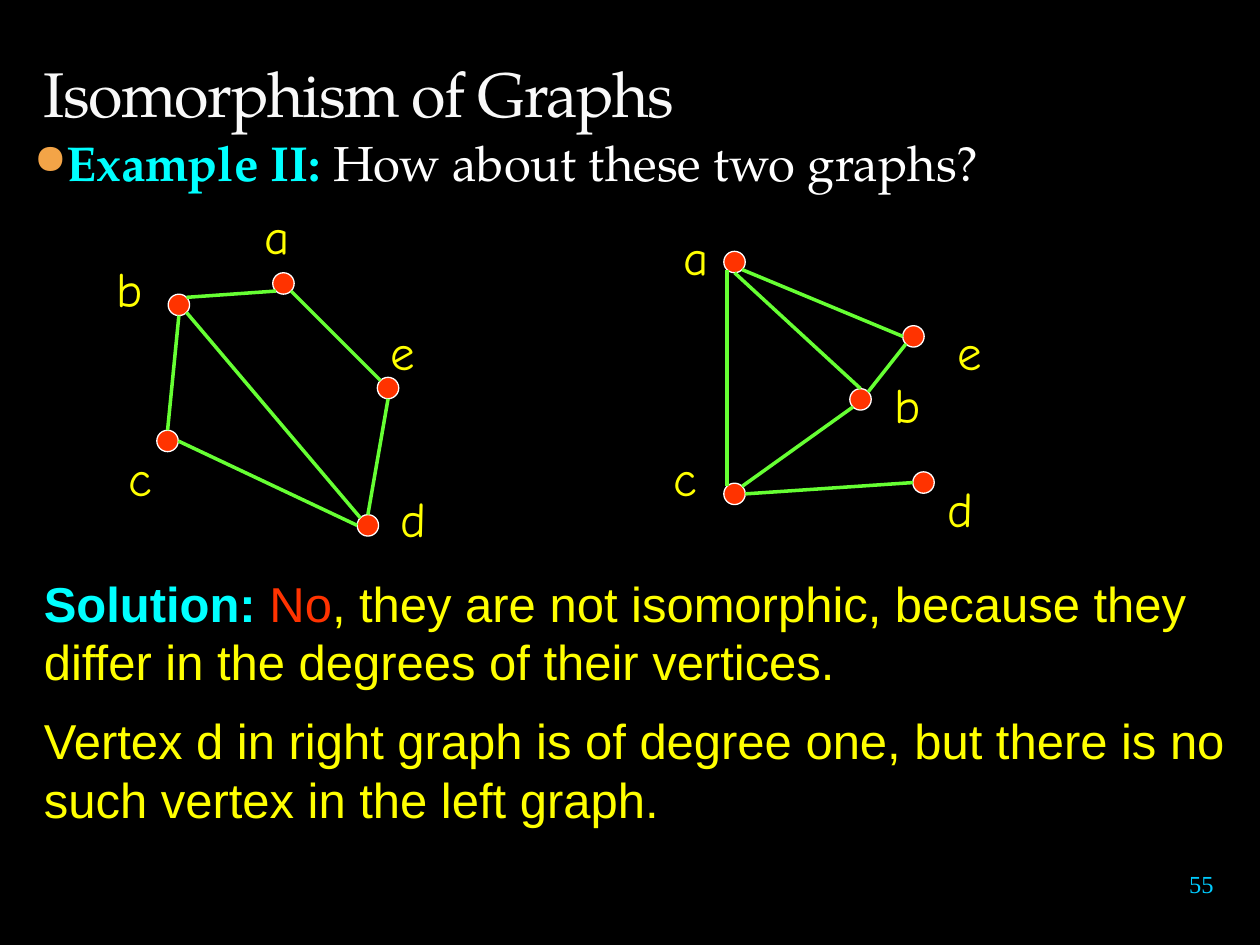
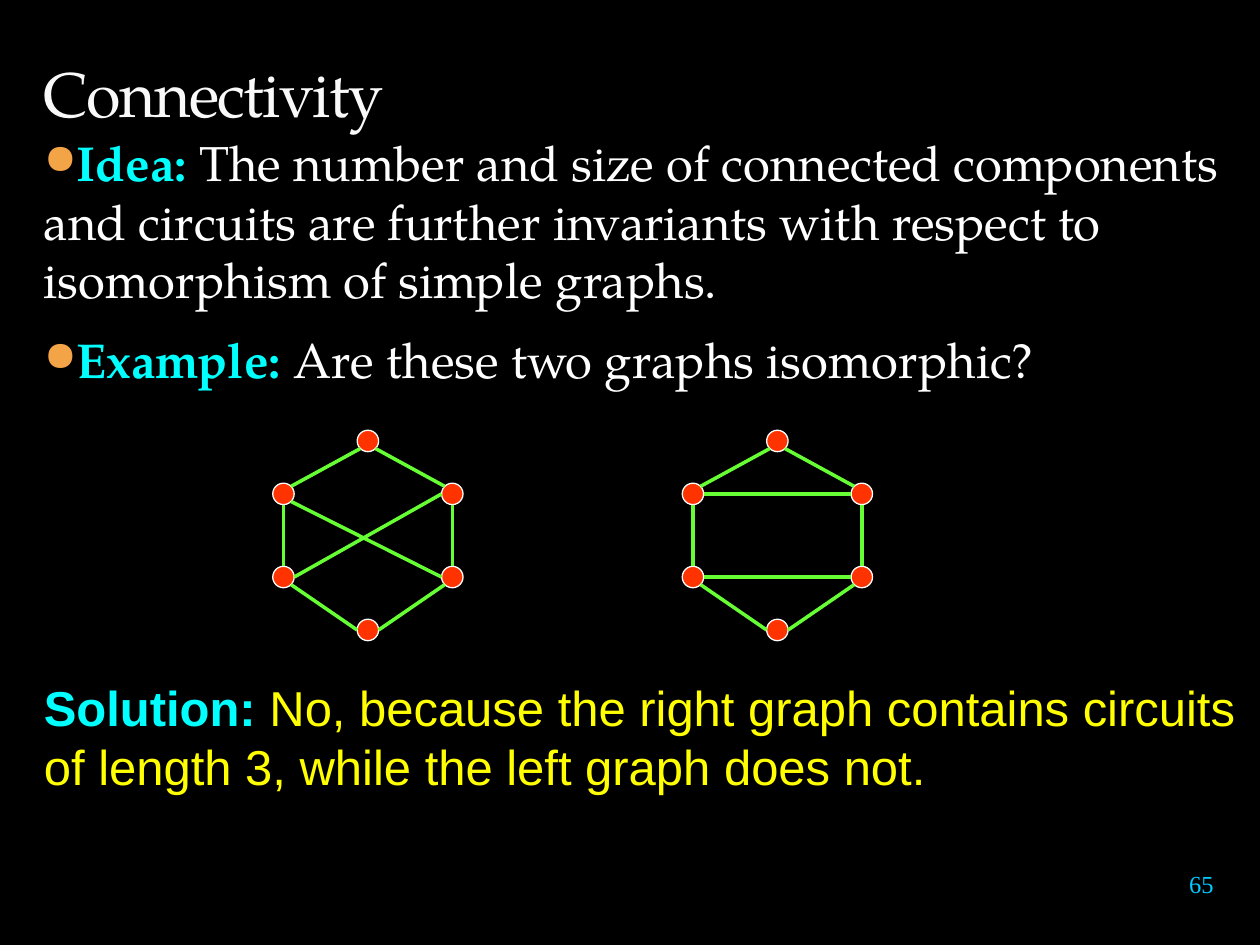
from dataclasses import dataclass
from math import cos, pi, sin
from lxml import etree
from pptx import Presentation
from pptx.dml.color import RGBColor
from pptx.enum import shapes, text
from pptx.oxml import ns
from pptx.util import Inches, Pt


@dataclass(frozen=True)
class Theme:
    background: str = "000000"
    title: str = "F9F9F9"
    body: str = "FFFFFF"
    keyword: str = "00FFFF"
    answer: str = "FFFF00"
    vertex: str = "FF3300"
    edge: str = "66FF33"
    bullet: str = "F3A447"
    number: str = "00CCFF"
    serif: str = "TeX Gyre Pagella"
    sans: str = "Arial"
    hand: str = "Comic Neue"
    roman: str = "Times New Roman"
    title_size: int = 36
    body_size: int = 28
    number_size: int = 14


T = Theme()
RADIUS = 0.085
TOP, TOP_LEFT, LEFT, LOW_LEFT, BOTTOM, LOW_RIGHT, RIGHT, TOP_RIGHT = range(8)


def add_text(parent, box, paragraphs, font, size, before=0, after=0):
    sp = parent.add_textbox(*map(Inches, box))
    tf = sp.text_frame
    tf.word_wrap = True
    for i, runs in enumerate(paragraphs):
        p = tf.add_paragraph() if i else tf.paragraphs[0]
        p.font.name, p.font.size = font, Pt(size)
        p.space_before, p.space_after = Pt(before), Pt(after)
        for words, color in runs:
            r = p.add_run()
            r.text = words
            r.font.color.rgb = RGBColor.from_string(color)
            r.font.bold = color == T.keyword
    return tf


def add_graph(s, vertices, edges):
    group = s.shapes.add_group_shape().shapes
    for x, y in vertices.values():
        sp = group.add_shape(
            shapes.MSO_SHAPE.FLOWCHART_CONNECTOR,
            *map(Inches, (x - RADIUS, y - RADIUS, 2 * RADIUS, 2 * RADIUS)),
        )
        sp.shadow.inherit = False
        sp.fill.solid()
        sp.fill.fore_color.rgb = RGBColor.from_string(T.vertex)
        sp.line.color.rgb = RGBColor.from_string(T.body)
        sp.line.width = Pt(0.75)
    for start, start_site, end, end_site in edges:
        ends = []
        for name, site in ((start, start_site), (end, end_site)):
            x, y = vertices[name]
            angle = site * pi / 4
            ends += [Inches(x - RADIUS * sin(angle)), Inches(y - RADIUS * cos(angle))]
        line = group.add_connector(shapes.MSO_CONNECTOR.STRAIGHT, *ends)
        line.line.color.rgb = RGBColor.from_string(T.edge)
        line.line.width = Pt(2)
        etree.SubElement(line._element.spPr, ns.qn("a:effectLst"))
    return group


prs = Presentation()
prs.slide_width, prs.slide_height = Inches(10), Inches(7.5)

pages = [
    (
        "Isomorphism of Graphs", "55", (0.17, 1, 9.67, 0.58),
        [[("Example II:", T.keyword), (" How about these two graphs?", T.body)]],
        (0.25, 4.5, 9.58, 2),
        [
            [
                ("Solution: ", T.keyword),
                ("No", T.vertex),
                (", they are not isomorphic, because they differ in the degrees of their vertices.", T.answer),
            ],
            [("Vertex d in right graph is of degree one, but there is no such vertex in the left graph.", T.answer)],
        ],
    ),
    (
        "Connectivity", "65", (0.25, 1, 9.58, 2.25),
        [
            [
                ("Idea:", T.keyword),
                (" The number and size of connected components and circuits are further"
                 " invariants with respect to isomorphism of simple graphs.", T.body),
            ],
            [("Example:", T.keyword), (" Are these two graphs isomorphic?", T.body)],
        ],
        (0.25, 5.33, 9.75, 1.08),
        [
            [
                ("Solution:", T.keyword),
                (" No, because the right graph contains circuits of length 3, while the left graph does not.", T.answer),
            ]
        ],
    ),
]

for title, number, body_box, body, solution_box, solution in pages:
    s = prs.slides.add_slide(prs.slide_layouts[6])
    s.background.fill.solid()
    s.background.fill.fore_color.rgb = RGBColor.from_string(T.background)

    tf = add_text(s.shapes, body_box, body, T.serif, T.body_size, 6, 5.6)
    for p in tf.paragraphs:
        pPr = p._p.get_or_add_pPr()
        bullet = [
            etree.Element(ns.qn("a:buClr")),
            etree.Element(ns.qn("a:buSzPct"), val="85000"),
            etree.Element(ns.qn("a:buChar"), char="●"),
        ]
        etree.SubElement(bullet[0], ns.qn("a:srgbClr"), val=T.bullet)
        for offset, element in enumerate(bullet):
            pPr.insert(2 + offset, element)

    tf = add_text(s.shapes, (9.2, 6.76, 0.67, 0.5), [[(number, T.number)]], T.roman, T.number_size, 2.8)
    tf.margin_left = tf.margin_right = tf.margin_top = tf.margin_bottom = 0
    tf.vertical_anchor = text.MSO_ANCHOR.MIDDLE
    tf.paragraphs[0].alignment = text.PP_ALIGN.CENTER

    tf = add_text(s.shapes, (0.25, 0, 9.42, 1.08), [[(title, T.title)]], T.serif, T.title_size)
    tf.vertical_anchor = text.MSO_ANCHOR.BOTTOM
    tf.paragraphs[0].runs[0].font._element.set("spc", "-100")

    add_text(s.shapes, solution_box, solution, T.sans, T.body_size, 5.6, 5.6)

isomorphism, connectivity = prs.slides

lettered_graphs = [
    (
        {"a": (2.25, 2.25), "b": (1.42, 2.42), "c": (1.33, 3.5), "d": (2.92, 4.17), "e": (3.08, 3.08)},
        [
            ("d", TOP, "e", BOTTOM),
            ("d", LEFT, "c", RIGHT),
            ("c", TOP, "b", BOTTOM),
            ("b", TOP_RIGHT, "a", LOW_LEFT),
            ("a", LOW_RIGHT, "e", TOP_LEFT),
            ("b", LOW_RIGHT, "d", TOP_LEFT),
        ],
        {"a": (2, 1.58), "b": (0.83, 2), "c": (0.92, 3.5), "d": (3.08, 3.83), "e": (3, 2.5)},
    ),
    (
        {"a": (5.83, 2.08), "b": (6.83, 3.17), "c": (5.83, 3.92), "d": (7.33, 3.83), "e": (7.25, 2.67)},
        [
            ("c", RIGHT, "d", LEFT),
            ("c", TOP_RIGHT, "b", LOW_LEFT),
            ("b", TOP, "a", BOTTOM),
            ("a", LOW_RIGHT, "e", LEFT),
            ("e", LOW_LEFT, "b", TOP_RIGHT),
            ("a", LOW_LEFT, "c", TOP_LEFT),
        ],
        {"a": (5.33, 1.75), "b": (7, 2.92), "c": (5.25, 3.5), "d": (7.42, 3.75), "e": (7.5, 2.5)},
    ),
]
label_widths = {"b": 0.33, "c": 0.42}
for vertices, edges, labels in lettered_graphs:
    group = add_graph(isomorphism, vertices, edges)
    for letter, (x, y) in labels.items():
        box = (x, y, label_widths.get(letter, 0.67), 0.57)
        add_text(group, box, [[(letter, T.answer)]], T.hand, T.body_size, 14)

outline = [
    ("lower left", TOP, "upper left", BOTTOM),
    ("lower right", TOP, "upper right", BOTTOM),
    ("upper left", TOP_RIGHT, "top", LOW_LEFT),
    ("upper right", TOP_LEFT, "top", LOW_RIGHT),
    ("lower left", LOW_RIGHT, "bottom", LEFT),
    ("bottom", RIGHT, "lower right", LOW_LEFT),
]
crossing = [("upper left", LOW_RIGHT, "lower right", LEFT), ("lower left", RIGHT, "upper right", LEFT)]
parallel = [("upper left", RIGHT, "upper right", LEFT), ("lower left", RIGHT, "lower right", LEFT)]
for center, chords in ((2.92, crossing), (6.17, parallel)):
    hexagon = {"top": (center, 3.5), "bottom": (center, 5)}
    for side, dx in (("left", -0.67), ("right", 0.67)):
        hexagon[f"upper {side}"] = (center + dx, 3.92)
        hexagon[f"lower {side}"] = (center + dx, 4.58)
    add_graph(connectivity, hexagon, outline + chords)

prs.save("out.pptx")
